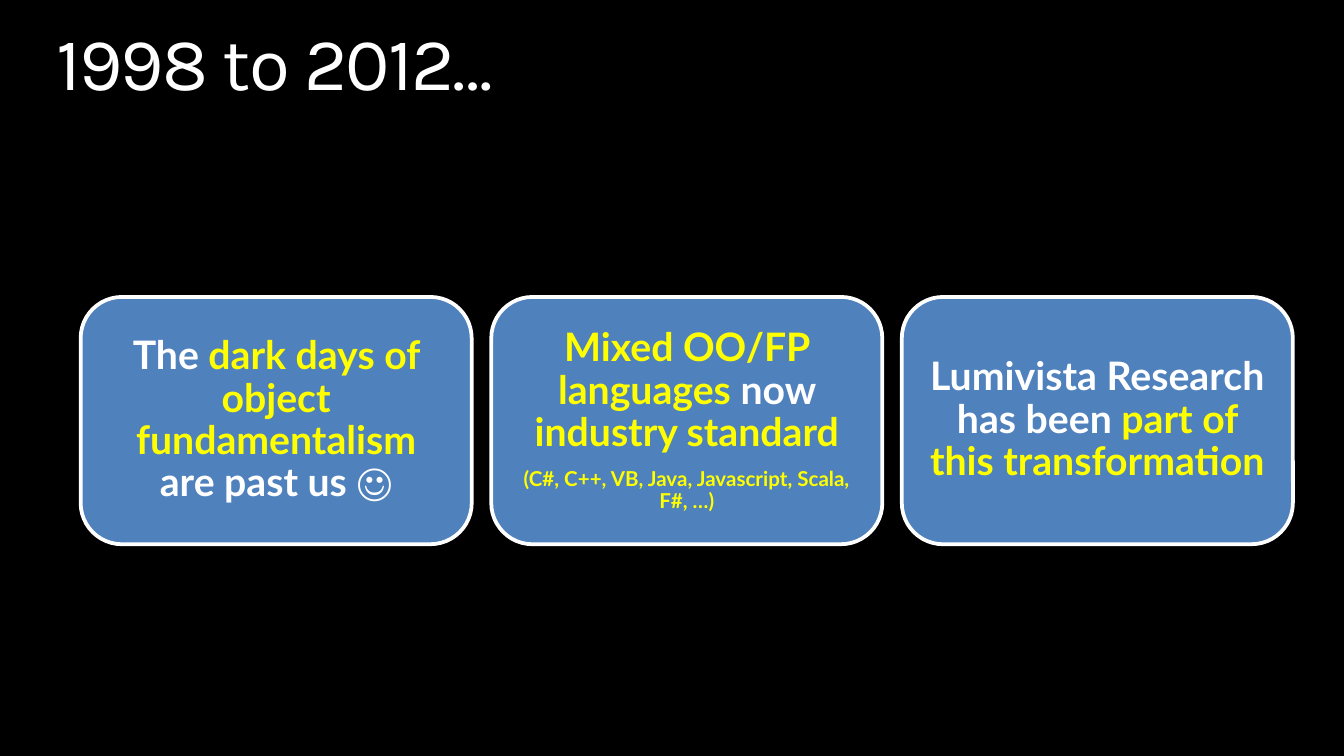
from pptx import Presentation
from pptx.dml.color import RGBColor
from pptx.enum.shapes import MSO_SHAPE
from pptx.enum.text import MSO_ANCHOR, PP_ALIGN
from pptx.util import Inches, Pt

BLACK = RGBColor(0x00, 0x00, 0x00)
WHITE = RGBColor(0xFF, 0xFF, 0xFF)
YELLOW = RGBColor(0xFF, 0xFF, 0x00)
BLUE = RGBColor(0x4F, 0x81, 0xBD)

# Card grid, in inches
CARD_LEFT, CARD_TOP = 0.6, 2.21
CARD_WIDTH, CARD_HEIGHT = 2.91, 1.84
CARD_GAP = 0.145
CARD_INSET = Inches(0.09)

# Each card holds paragraphs: (size, [(text, colour), ...])
CARDS = [
    [(21, [("The ", WHITE),
           ("dark days of object fundamentalism ", YELLOW),
           ("are past us ☺", WHITE)])],
    [(21, [("Mixed OO/FP languages ", YELLOW),
           ("now ", WHITE),
           ("industry standard", YELLOW)]),
     (11, [("(C#, C++, VB, Java, Javascript, Scala, F#, …)", YELLOW)])],
    [(21, [("Lumivista Research has been ", WHITE),
           ("part of this transformation", YELLOW)])],
]


def add_run(paragraph, text, font_name, size, colour, bold=False):
    run = paragraph.add_run()
    run.text = text
    run.font.name = font_name
    run.font.size = Pt(size)
    run.font.bold = bold
    run.font.color.rgb = colour
    return run


def set_insets(text_frame, inset):
    text_frame.margin_left = text_frame.margin_right = inset
    text_frame.margin_top = text_frame.margin_bottom = inset
    text_frame.word_wrap = True


# Widescreen slide, 16 to 9
presentation = Presentation()
presentation.slide_width = Inches(10)
presentation.slide_height = Inches(10 * 9 / 16)
slide = presentation.slides.add_slide(presentation.slide_layouts[6])

# Background
slide.background.fill.solid()
slide.background.fill.fore_color.rgb = BLACK

# Title
title = slide.shapes.add_textbox(Inches(0.42), Inches(0.19), Inches(9.17), Inches(0.61))
set_insets(title.text_frame, 0)
paragraph = title.text_frame.paragraphs[0]
paragraph.line_spacing = 0.9
title_run = add_run(paragraph, "1998 to 2012…", "Karla", 40, WHITE)
title_run.font._element.set("spc", "-90")

# Three cards in a row
for column, card_paragraphs in enumerate(CARDS):
    card = slide.shapes.add_shape(
        MSO_SHAPE.ROUNDED_RECTANGLE,
        Inches(CARD_LEFT + column * (CARD_WIDTH + CARD_GAP)), Inches(CARD_TOP),
        Inches(CARD_WIDTH), Inches(CARD_HEIGHT))
    card.shadow.inherit = False
    card.fill.solid()
    card.fill.fore_color.rgb = BLUE
    card.line.color.rgb = WHITE
    card.line.width = Pt(2)

    text_frame = card.text_frame
    set_insets(text_frame, CARD_INSET)
    text_frame.vertical_anchor = MSO_ANCHOR.MIDDLE
    for index, (size, runs) in enumerate(card_paragraphs):
        paragraph = text_frame.paragraphs[0] if index == 0 else text_frame.add_paragraph()
        paragraph.alignment = PP_ALIGN.CENTER
        paragraph.line_spacing = 0.9
        if index > 0:
            paragraph.space_before = Pt(7.4)
        for text, colour in runs:
            add_run(paragraph, text, "Lato", size, colour, bold=True)

presentation.save("out.pptx")
